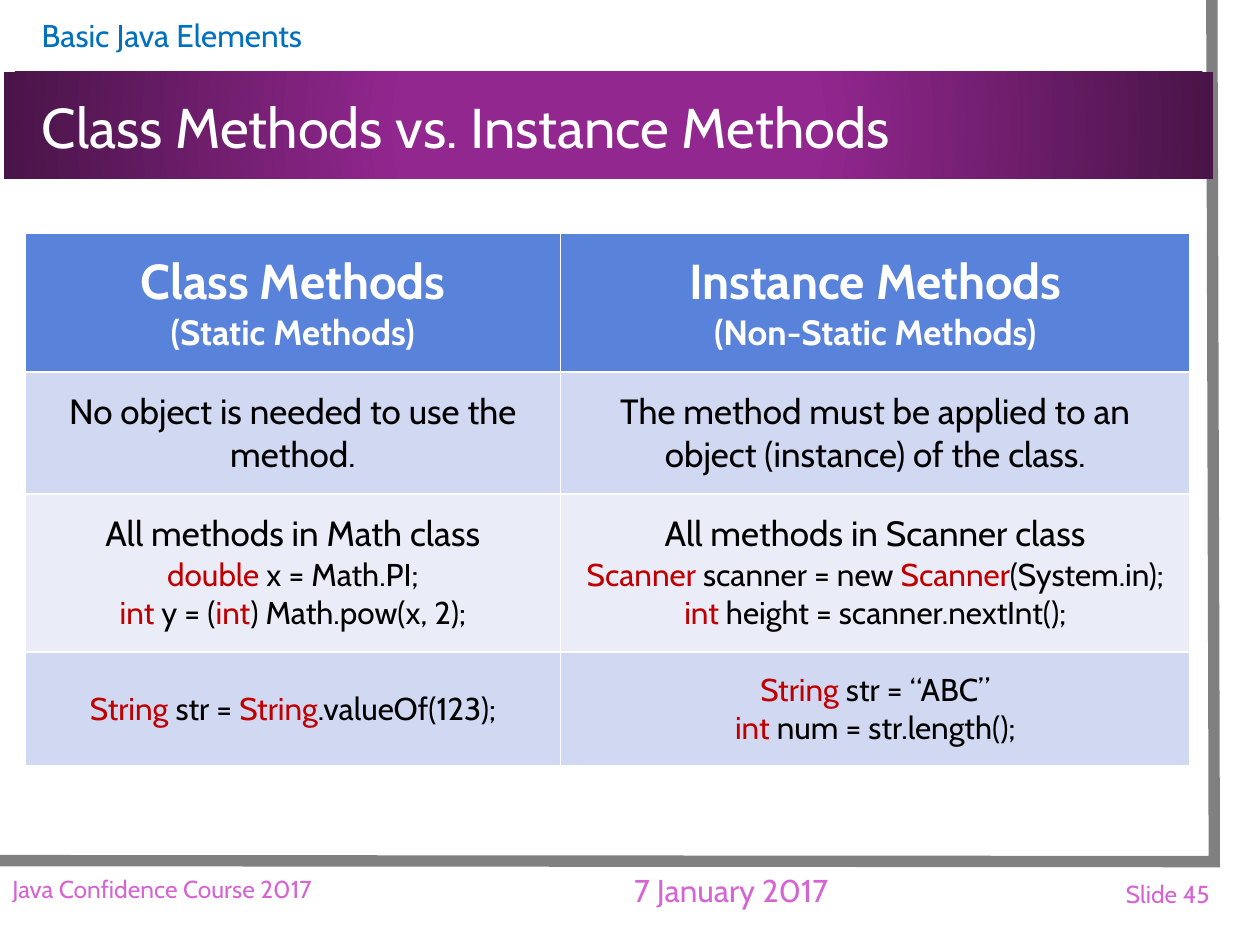
from lxml.etree import SubElement
from pptx import Presentation
from pptx.dml.color import RGBColor
from pptx.enum.shapes import MSO_SHAPE as SHAPE
from pptx.enum.text import MSO_ANCHOR as ANCHOR, PP_ALIGN as ALIGN
from pptx.oxml.ns import qn
from pptx.util import Cm, Pt

FONT = "Cabin"
WHITE = RGBColor(0xFF, 0xFF, 0xFF)
BLACK = RGBColor(0x00, 0x00, 0x00)
GREY = RGBColor(0x80, 0x80, 0x80)
BLUE = RGBColor(0x00, 0x70, 0xC0)
PINK = RGBColor(0xD6, 0x65, 0xD3)
RED = RGBColor(0xC0, 0x00, 0x00)
PURPLE = RGBColor(0x92, 0x27, 0x8F)
DARK_PURPLE = RGBColor(0x49, 0x14, 0x47)
HEADER_FILL = RGBColor(0x59, 0x82, 0xDB)
BAND_FILLS = RGBColor(0xEA, 0xED, 0xF8), RGBColor(0xD1, 0xD8, 0xF1)

# text, (left, top, width, height) in cm, left inset in cm, size, colour, alignment
LABELS = [
    ("Basic Java Elements", (0.08, 0.2, 24.38, 1.02), 0.76, 18, BLUE, ALIGN.LEFT),
    ("Class Methods vs. Instance Methods", (0.08, 1.47, 24.38, 2.13), 0.76, 32, WHITE, ALIGN.LEFT),
    ("7 January 2017", (10.74, 17.4, 8, 1.09), 0.25, 18, PINK, ALIGN.CENTER),
    ("Java Confidence Course 2017", (0, 17.4, 10.74, 1.04), 0.25, 14, PINK, ALIGN.LEFT),
    ("Slide 45", (18.77, 17.42, 5.87, 1.19), 0.25, 14, PINK, ALIGN.RIGHT),
]

# Each cell is a list of (size, line); parts between bars are highlighted.
TABLE = [
    [[(28, "Class Methods"), (20, "(Static Methods)")],
     [(28, "Instance Methods"), (20, "(Non-Static Methods)")]],
    [[(20, "No object is needed to use the method.")],
     [(20, "The method must be applied to an object (instance) of the class.")]],
    [[(20, "All methods in Math class"),
      (18, "|double| x = Math.PI;"),
      (18, "|int| y = (|int|) Math.pow(x, 2);")],
     [(20, "All methods in Scanner class"),
      (18, "|Scanner| scanner = new |Scanner|(System.in);"),
      (18, "|int| height = scanner.nextInt();")]],
    [[(18, "|String| str = |String|.valueOf(123);")],
     [(18, "|String| str = “ABC”"),
      (18, "|int| num = str.length();")]],
]
COL_WIDTHS = 10.79, 12.69
ROW_HEIGHTS = 2.8, 2.46, 3.18, 2.3


def add_rect(s, left, top, width, height):
    sp = s.shapes.add_shape(SHAPE.RECTANGLE, Cm(left), Cm(top), Cm(width), Cm(height))
    sp.shadow.inherit = False
    sp.line.fill.background()
    return sp


def add_page_edge(s):
    """Draw the grey line along the right and bottom of the page."""
    builder = s.shapes.build_freeform(Cm(24.43), Cm(0))
    builder.add_line_segments([(Cm(24.48), Cm(17.37)), (Cm(-0.05), Cm(17.35))], close=False)
    sp = builder.convert_to_shape()
    sp.shadow.inherit = False
    sp.fill.background()
    sp.line.color.rgb = GREY
    sp.line.width = Pt(6.5)
    SubElement(sp.line._get_or_add_ln(), qn("a:miter"), lim="800000")


def add_title_band(s):
    sp = add_rect(s, 0.08, 1.45, 24.38, 2.16)
    sp.fill.gradient()
    stops = sp.fill.gradient_stops
    for stop, position, color in zip(stops, (0.34, 1), (PURPLE, DARK_PURPLE)):
        stop.position = position
        stop.color.rgb = color
    grad = sp._element.spPr.find(qn("a:gradFill"))
    grad.remove(grad.find(qn("a:lin")))
    radial = SubElement(grad, qn("a:path"), path="circle")
    SubElement(radial, qn("a:fillToRect"), l="50000", t="50000", r="50000", b="50000")


def add_label(s, text, box, inset, size, color, align):
    tf = s.shapes.add_textbox(*map(Cm, box)).text_frame
    tf.word_wrap = True
    tf.vertical_anchor = ANCHOR.MIDDLE
    tf.margin_left = Cm(inset)
    p = tf.paragraphs[0]
    p.text = text
    p.alignment = align
    p.font.name, p.font.size = FONT, Pt(size)
    p.font.color.rgb = color


def fill_cell(cell, lines, row):
    cell.fill.solid()
    cell.fill.fore_color.rgb = BAND_FILLS[row % 2] if row else HEADER_FILL
    cell.vertical_anchor = ANCHOR.MIDDLE
    cell.margin_left = cell.margin_right = cell.margin_top = cell.margin_bottom = Cm(0.38)
    tf = cell.text_frame
    for i, (size, line) in enumerate(lines):
        p = tf.add_paragraph() if i else tf.paragraphs[0]
        p.alignment = ALIGN.CENTER
        p.font.name, p.font.size, p.font.bold = FONT, Pt(size), row == 0
        for j, part in enumerate(line.split("|")):
            if part:
                r = p.add_run()
                r.text = part
                r.font.color.rgb = RED if j % 2 else BLACK if row else WHITE


def add_comparison(s):
    table = s.shapes.add_table(len(TABLE), len(COL_WIDTHS), Cm(0.51), Cm(4.7),
                               Cm(sum(COL_WIDTHS)), Cm(sum(ROW_HEIGHTS))).table
    for column, width in zip(table.columns, COL_WIDTHS):
        column.width = Cm(width)
    for i, (cells, height) in enumerate(zip(TABLE, ROW_HEIGHTS)):
        table.rows[i].height = Cm(height)
        for j, lines in enumerate(cells):
            fill_cell(table.cell(i, j), lines, i)


def main():
    prs = Presentation()
    prs.slide_width, prs.slide_height = Cm(25.4), Cm(19.05)
    s = prs.slides.add_slide(prs.slide_layouts[6])
    page = add_rect(s, 0.08, 0, 24.97, 18.47)
    page.fill.solid()
    page.fill.fore_color.rgb = WHITE
    add_page_edge(s)
    add_title_band(s)
    for label in LABELS:
        add_label(s, *label)
    add_comparison(s)
    prs.save("out.pptx")


if __name__ == "__main__":
    main()
